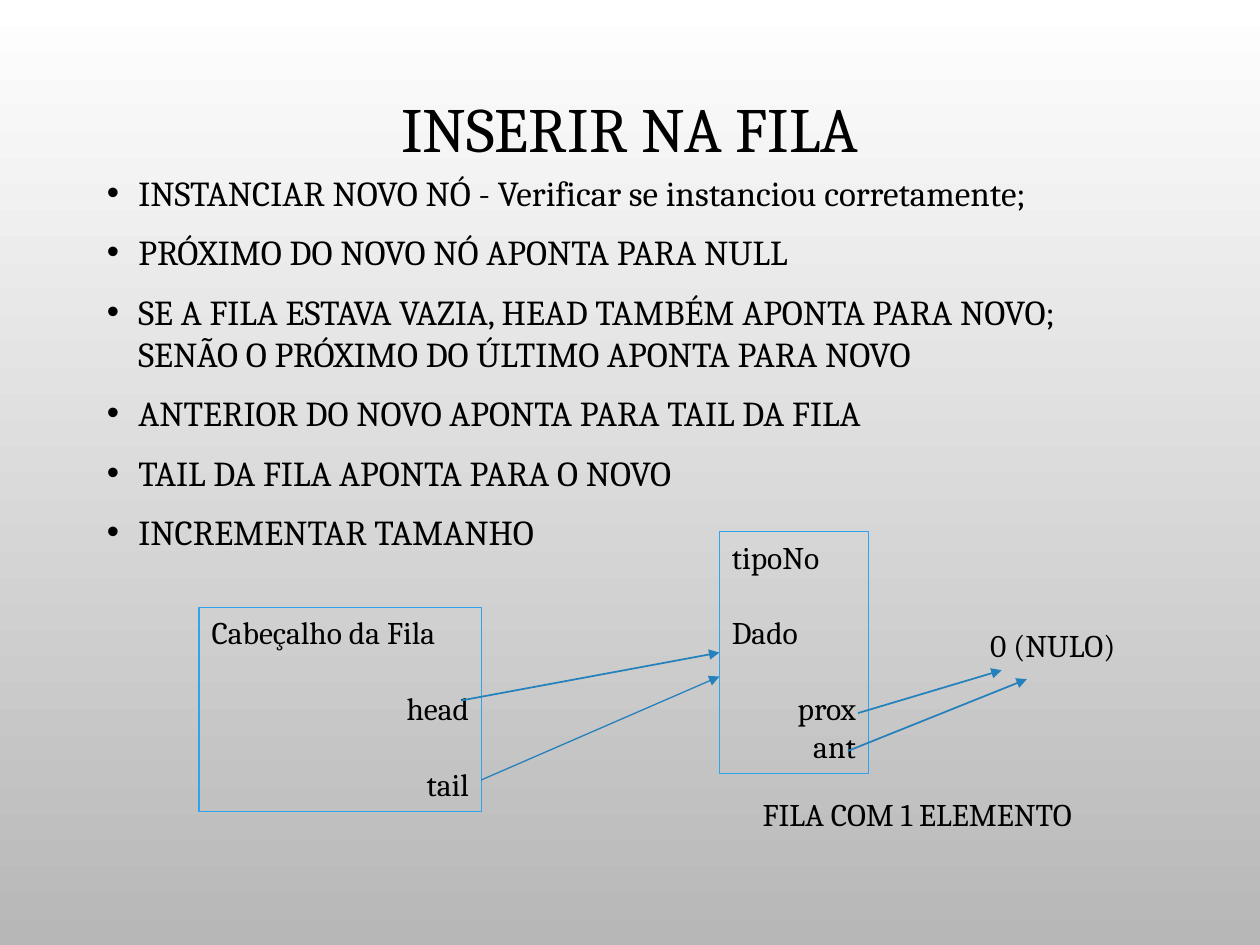
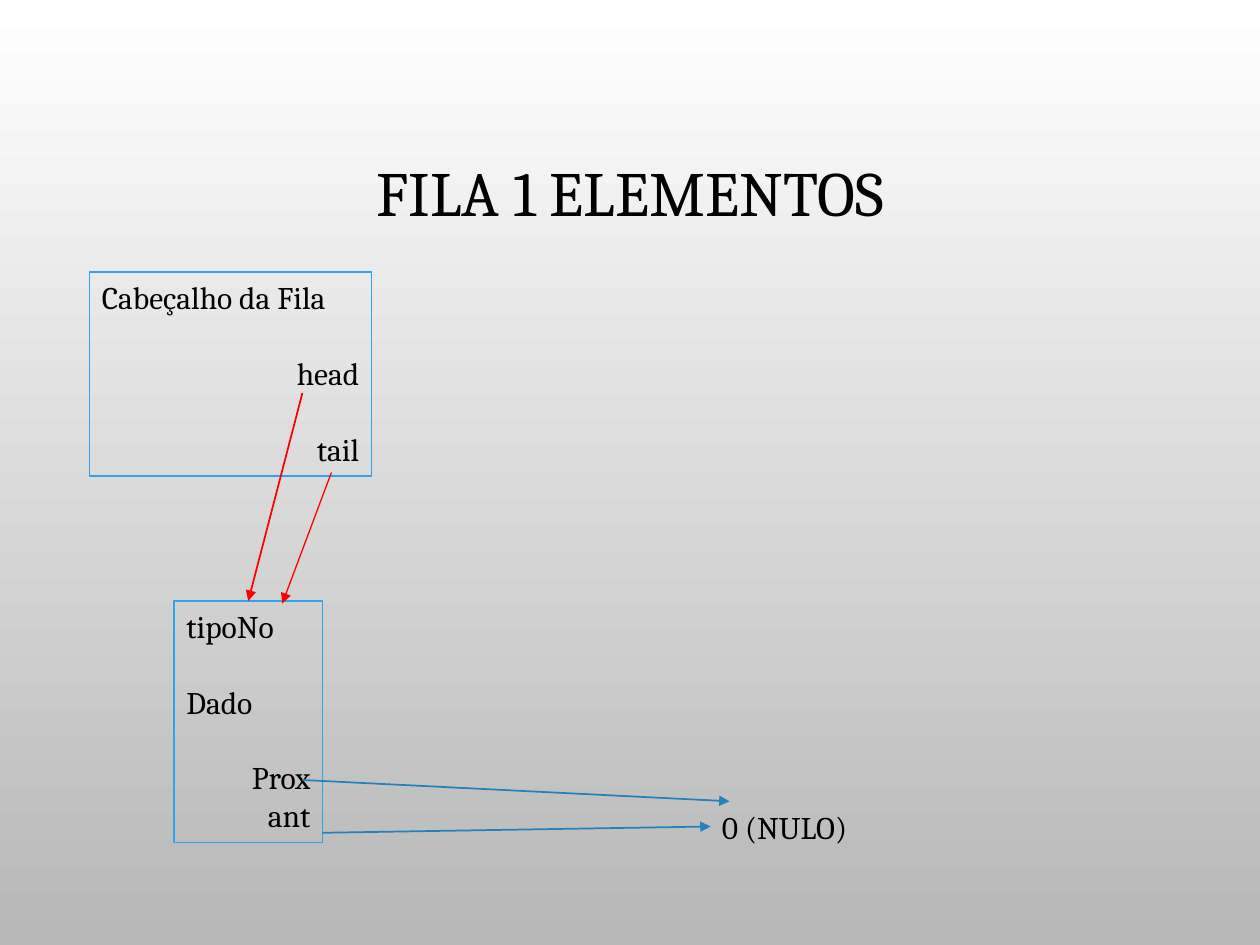
from lxml import etree
from pptx import Presentation
from pptx.dml.color import RGBColor
from pptx.enum.shapes import MSO_CONNECTOR, MSO_SHAPE
from pptx.enum.text import MSO_ANCHOR, PP_ALIGN
from pptx.oxml.ns import qn
from pptx.util import Pt

STRAIGHT, RECTANGLE = MSO_CONNECTOR.STRAIGHT, MSO_SHAPE.RECTANGLE
TOP, MIDDLE = MSO_ANCHOR.TOP, MSO_ANCHOR.MIDDLE
LEFT, CENTER, RIGHT = PP_ALIGN.LEFT, PP_ALIGN.CENTER, PP_ALIGN.RIGHT
TOP_SIDE, LEFT_SIDE = 0, 1

BLACK = RGBColor(0x00, 0x00, 0x00)
WHITE = RGBColor(0xFF, 0xFF, 0xFF)
GRAY = RGBColor(0xB7, 0xB7, 0xB7)
BORDER_BLUE = RGBColor(0x2F, 0xA3, 0xEE)
ARROW_BLUE = RGBColor(0x25, 0x81, 0xBC)
RED = RGBColor(0xFF, 0x00, 0x00)
FONT = "Cambria"
LINE_GAP = 21.6  # one line of 18 pt text
HEADER_SIZE = (161.3, 116.6)
NODE_SIZE = (85, 138.2)
NULL_SIZE = (112.3, 29)

# Content: box lines are (text, alignment, space before)
STEPS = [
    "INSTANCIAR NOVO NÓ - Verificar se instanciou corretamente;",
    "PRÓXIMO DO NOVO NÓ APONTA PARA NULL",
    "SE A FILA ESTAVA VAZIA, HEAD TAMBÉM APONTA PARA NOVO; "
    "SENÃO O PRÓXIMO DO ÚLTIMO APONTA PARA NOVO",
    "ANTERIOR DO NOVO APONTA PARA TAIL DA FILA",
    "TAIL DA FILA APONTA PARA O NOVO",
    "INCREMENTAR TAMANHO",
]
HEADER_LINES = [("Cabeçalho da Fila", LEFT, 0), ("head", RIGHT, LINE_GAP),
                ("tail", RIGHT, LINE_GAP)]
NODE_LINES = [("tipoNo", LEFT, 0), ("Dado", LEFT, LINE_GAP)]

# Arrows are (from, to, colour, width, side of the node to join or None)
SLIDES = [
    dict(title="INSERIR NA FILA", title_height=52.6, steps=STEPS,
         header=(113.8, 347), node=(411.1, 303.8), next_label="prox",
         null=(558.7, 354.2), caption="FILA COM 1 ELEMENTO",
         arrows=[((263.5, 400.3), (411.1, 373), ARROW_BLUE, 1, LEFT_SIDE),
                 ((275, 445.7), (411.1, 386.6), ARROW_BLUE, 0.75, None),
                 ((490.3, 407.5), (572.4, 383), ARROW_BLUE, 1, None),
                 ((484.6, 429.1), (586.8, 388.1), ARROW_BLUE, 1, None)]),
    dict(title="FILA 1 ELEMENTOS", title_height=126, steps=[],
         header=(51.1, 155.5), node=(99.4, 343.4), next_label="Prox",
         null=(405.4, 457.9), caption=None,
         arrows=[((172.8, 224.6), (141.8, 343.4), RED, 1, TOP_SIDE),
                 ((189.4, 270), (161.3, 344.9), RED, 0.75, None),
                 ((172.8, 445.7), (416.9, 457.9), ARROW_BLUE, 1, None),
                 ((184.3, 475.9), (406.1, 472.3), ARROW_BLUE, 1, None)]),
]


def write(shape, lines, font_size=18, anchor=TOP):
    frame = shape.text_frame
    frame.word_wrap = True
    frame.vertical_anchor = anchor
    frame.text = "\n".join(text for text, _, _ in lines)
    for paragraph, (_, align, space) in zip(frame.paragraphs, lines):
        paragraph.alignment = align
        paragraph.space_before = Pt(space)
        font = paragraph.runs[0].font
        font.name, font.size, font.color.rgb = FONT, Pt(font_size), BLACK
    return frame.paragraphs


def add_text(slide, position, size, lines, **style):
    box = slide.shapes.add_textbox(*map(Pt, position + size))
    return write(box, lines, **style)


def add_box(slide, position, size, lines):
    box = slide.shapes.add_shape(RECTANGLE, *map(Pt, position + size))
    box.shadow.inherit = False
    box.fill.background()
    box.line.color.rgb = BORDER_BLUE
    box.line.width = Pt(0.75)
    write(box, lines)
    return box


def add_arrow(slide, node, start, end, color, width, side):
    arrow = slide.shapes.add_connector(STRAIGHT, *map(Pt, start + end))
    if side is not None:
        arrow.end_connect(node, side)
    arrow.line.color.rgb = color
    arrow.line.width = Pt(width)
    properties = arrow._element.spPr
    etree.SubElement(properties.find(qn("a:ln")), qn("a:tailEnd"), type="triangle")
    etree.SubElement(properties, qn("a:effectLst"))


def add_steps(slide, steps):
    lines = [(step, LEFT, 10 if i else 0) for i, step in enumerate(steps)]
    for paragraph in add_text(slide, (54, 94.3), (612, 231.1), lines, font_size=20):
        properties = paragraph._p.get_or_add_pPr()
        properties.set("marL", str(Pt(18)))
        properties.set("indent", str(-Pt(18)))
        etree.SubElement(properties, qn("a:buFont"), typeface="Arial")
        etree.SubElement(properties, qn("a:buChar"), char="•")


def paint_background(slide):
    fill = slide.background.fill
    fill.gradient()
    fill.gradient_angle = 270
    for stop, color in zip(fill.gradient_stops, (WHITE, GRAY)):
        stop.color.rgb = color


def build_slide(presentation, content):
    slide = presentation.slides.add_slide(presentation.slide_layouts[6])
    paint_background(slide)

    # Title and steps
    title = add_text(slide, (54, 49), (612, content["title_height"]),
                     [(content["title"], CENTER, 0)], font_size=36, anchor=MIDDLE)
    title[0].line_spacing = 0.9
    if content["steps"]:
        add_steps(slide, content["steps"])

    # Queue diagram
    add_box(slide, content["header"], HEADER_SIZE, HEADER_LINES)
    pointers = [(content["next_label"], RIGHT, LINE_GAP), ("ant", RIGHT, 0)]
    node = add_box(slide, content["node"], NODE_SIZE, NODE_LINES + pointers)
    add_text(slide, content["null"], NULL_SIZE, [("0 (NULO)", LEFT, 0)])
    if content["caption"]:
        add_text(slide, (393.8, 450.7), (260.6, 29),
                 [(content["caption"], CENTER, 0)])
    for arrow in content["arrows"]:
        add_arrow(slide, node, *arrow)


def main():
    presentation = Presentation()
    presentation.slide_width, presentation.slide_height = Pt(720), Pt(540)
    for content in SLIDES:
        build_slide(presentation, content)
    presentation.save("out.pptx")


if __name__ == "__main__":
    main()
